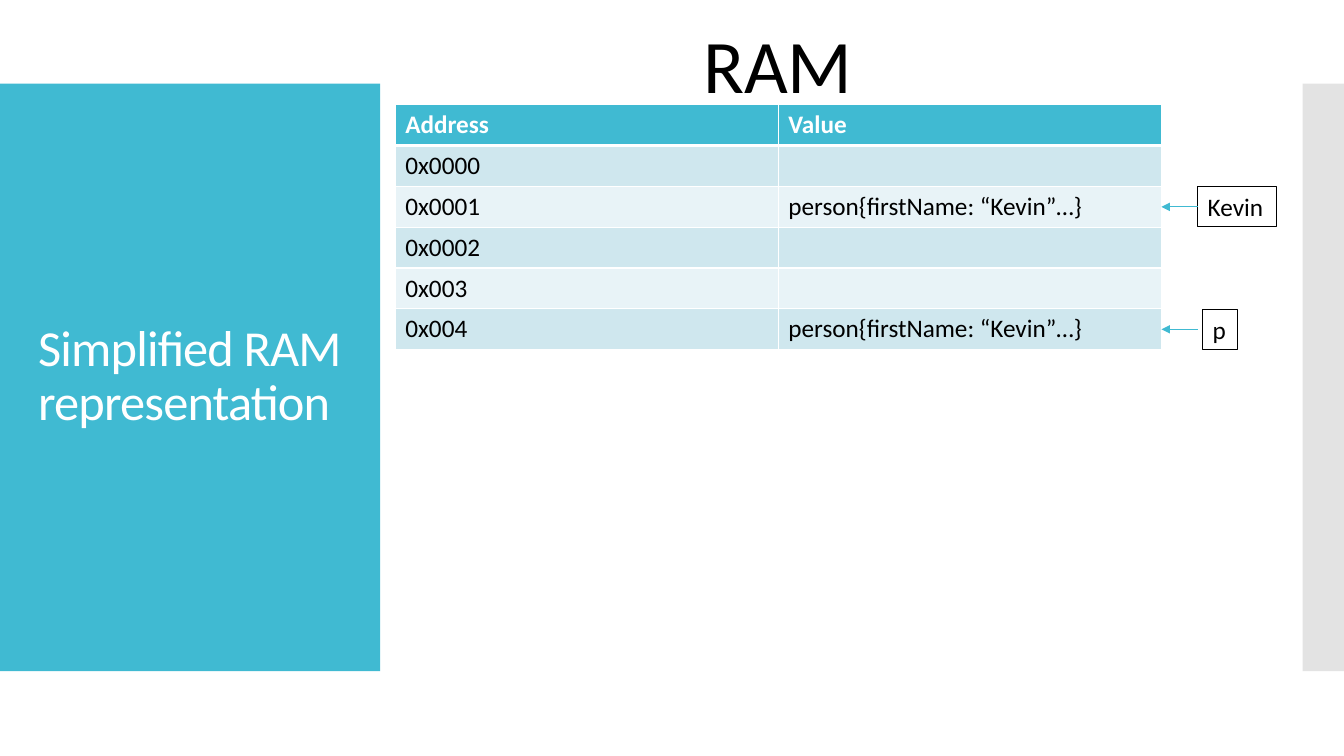
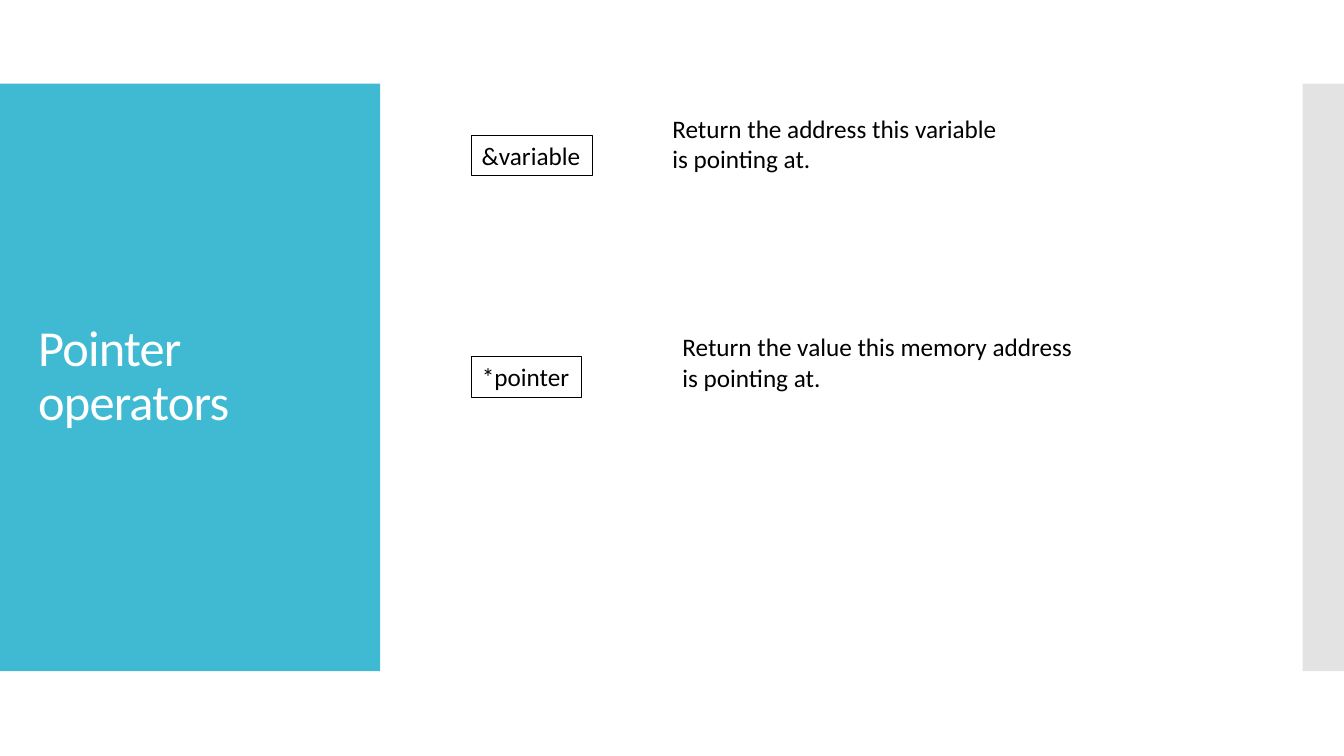
from dataclasses import dataclass
from lxml.etree import SubElement
from pptx import Presentation
from pptx.dml.color import RGBColor
from pptx.enum.shapes import MSO_CONNECTOR, MSO_SHAPE
from pptx.enum.text import MSO_ANCHOR, PP_ALIGN
from pptx.oxml.ns import qn
from pptx.util import Inches, Pt


@dataclass(frozen=True)
class Theme:
    font: str = "Calibri"
    accent: str = "40BAD2"
    side: str = "C8C8C8"
    white: str = "FFFFFF"
    ink: str = "000000"
    bands: tuple = ("E8F3F7", "CFE7EE")
    title: int = 36
    head: int = 54
    body: int = 18
    line: float = 0.75


theme = Theme()

PERSON = "person{firstName: “Kevin”…}"
MEMORY = [
    ("Address", "Value"),
    ("0x0000", ""),
    ("0x0001", PERSON),
    ("0x0002", ""),
    ("0x003", ""),
    ("0x004", PERSON),
]
LABELS = [("Kevin", 2, 11.88, 0.78), ("p", 5, 11.93, 0.34)]
OPERATORS = [
    ("&variable", (4.68, 1.34, 1.2, 0.4),
     "Return the address this variable\nis pointing at.", (6.57, 1.07, 3.48, 0.71)),
    ("*pointer", (4.68, 3.54, 1.09, 0.4),
     "Return the value this memory address\nis pointing at.", (6.67, 3.24, 4.14, 0.71)),
]
GRID = (3.92, 1.04, 7.6, 2.43)
HEADING = (6.84, 0.13, 1.75, 1.01)
TITLE = (0.28, 1.23, 3.22, 5.03)
PANEL = (0, 0.83, 3.77, 5.83)
STRIP = (12.92, 0.83, 0.42, 5.83)
TAIL = 11.88


def rgb(code):
    return RGBColor.from_string(code)


def write(frame, text, size=theme.body, color=theme.ink, bold=False, align=PP_ALIGN.LEFT):
    frame.text = text
    for para in frame.paragraphs:
        para.alignment = align
        for run in para.runs:
            font = run.font
            font.name, font.size, font.bold = theme.font, Pt(size), bold
            font.color.rgb = rgb(color)


def add_text(slide, area, text, **style):
    box = slide.shapes.add_textbox(*map(Inches, area))
    box.text_frame.word_wrap = False
    write(box.text_frame, text, **style)
    return box


def add_band(slide, area, color):
    band = slide.shapes.add_shape(MSO_SHAPE.RECTANGLE, *map(Inches, area))
    band.shadow.inherit = False
    band.fill.solid()
    band.fill.fore_color.rgb = rgb(color)
    band.line.fill.background()
    return band


def add_label(slide, area, text):
    box = add_text(slide, area, text)
    box.line.color.rgb = rgb(theme.ink)
    box.line.width = Pt(theme.line)


def add_arrow(slide, start, end, y):
    arrow = slide.shapes.add_connector(
        MSO_CONNECTOR.STRAIGHT, Inches(start), Inches(y), Inches(end), Inches(y))
    arrow.line.color.rgb = rgb(theme.accent)
    arrow.line.width = Pt(theme.line)
    SubElement(arrow.line._get_or_add_ln(), qn("a:tailEnd"), type="triangle")
    SubElement(arrow._element.spPr, qn("a:effectLst"))


def add_edge(cell, side, width):
    edge = SubElement(cell._tc.get_or_add_tcPr(), qn("a:ln" + side), w=str(Pt(width)))
    fill = SubElement(edge, qn("a:solidFill"))
    SubElement(fill, qn("a:srgbClr"), val=theme.white)


def add_grid(slide, area, data):
    rows, cols = len(data), len(data[0])
    table = slide.shapes.add_table(rows, cols, *map(Inches, area)).table
    for r, row in enumerate(data):
        table.rows[r].height = Inches(area[3] / rows)
        for c, text in enumerate(row):
            cell, head = table.cell(r, c), r == 0
            write(cell.text_frame, text, color=theme.white if head else theme.ink, bold=head)
            if not text:
                cell.text_frame.paragraphs[0].font.size = Pt(theme.body)
            for side in "LRTB":
                thick = (r, side) in ((0, "B"), (1, "T"))
                add_edge(cell, side, 3 if thick else 1)
            cell.fill.solid()
            cell.fill.fore_color.rgb = rgb(theme.accent if head else theme.bands[r % 2])


def add_page(deck, text):
    slide = deck.slides.add_slide(deck.slide_layouts[6])
    add_band(slide, PANEL, theme.accent)
    strip = add_band(slide, STRIP, theme.side)
    tint = strip._element.spPr.find(".//" + qn("a:srgbClr"))
    SubElement(tint, qn("a:alpha"), val="50000")
    title = add_text(slide, TITLE, text, size=theme.title, color=theme.white)
    frame = title.text_frame
    frame.word_wrap = True
    frame.vertical_anchor = MSO_ANCHOR.MIDDLE
    para = frame.paragraphs[0]
    para.line_spacing = 0.9
    para.runs[0]._r.get_or_add_rPr().set("spc", "-60")
    return slide


deck = Presentation()
deck.slide_width, deck.slide_height = Inches(13.33), Inches(7.5)

slide = add_page(deck, "Simplified RAM representation")
add_grid(slide, GRID, MEMORY)
add_text(slide, HEADING, "RAM", size=theme.head, align=PP_ALIGN.CENTER)
left, top, width, height = GRID
step = height / len(MEMORY)
for text, row, x, w in LABELS:
    y = top + step * (row + 0.5)
    add_label(slide, (x, y - 0.2, w, 0.4), text)
    add_arrow(slide, TAIL, left + width, y)

slide = add_page(deck, "Pointer operators")
for sign, spot, note, area in OPERATORS:
    add_label(slide, spot, sign)
    add_text(slide, area, note)

deck.save("out.pptx")
